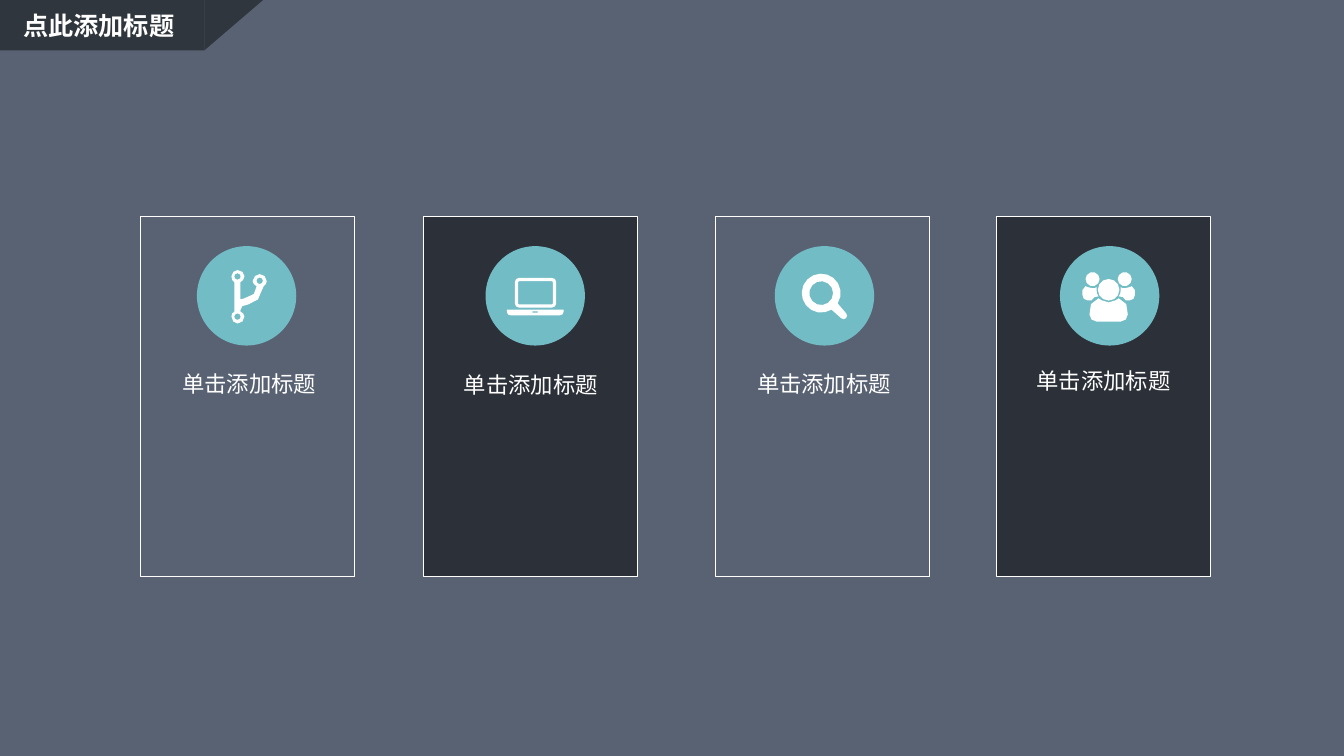
import math
from dataclasses import dataclass

import pptx
import pptx.dml.color
import pptx.enum.shapes
import pptx.enum.text
import pptx.oxml.ns
import pptx.util
from lxml import etree

Pt = pptx.util.Pt
RGB = pptx.dml.color.RGBColor.from_string
SHAPE = pptx.enum.shapes.MSO_SHAPE
ALIGN = pptx.enum.text.PP_ALIGN
qn = pptx.oxml.ns.qn


@dataclass(frozen=True)
class Theme:
    background: RGB = RGB("596273")
    banner: RGB = RGB("30363D")
    shade: RGB = RGB("000000")
    shade_opacity: int = 50
    accent: RGB = RGB("72BCC5")
    light: RGB = RGB("FFFFFF")
    font: str = "Noto Sans CJK SC"
    title_size: int = 18
    label_size: int = 16
    border: float = 0.75


THEME = Theme()


def add_filled(shapes, kind, box, color):
    shape = shapes.add_shape(kind, *map(Pt, box))
    shape.shadow.inherit = False
    shape.line.fill.background()
    shape.fill.solid()
    shape.fill.fore_color.rgb = color
    return shape


def add_text(shapes, box, words, size, align, bold=False):
    frame = shapes.add_textbox(*map(Pt, box)).text_frame
    frame.word_wrap = True
    frame.auto_size = pptx.enum.text.MSO_AUTO_SIZE.SHAPE_TO_FIT_TEXT
    paragraph = frame.paragraphs[0]
    paragraph.alignment = align
    run = paragraph.add_run()
    run.text = words
    run.font.size, run.font.bold, run.font.name = Pt(size), bold, THEME.font
    run.font.color.rgb = THEME.light
    etree.SubElement(run.font._element, qn("a:ea"), typeface=THEME.font)


def arc(cx, cy, r, start=0, end=360):
    """Points on a circle, clockwise from the right in degrees; larger circles get more."""
    span = end - start
    steps = round(span / 360 * (6 + 0.8 * r))
    count = steps if span == 360 else steps + 1
    angles = [math.radians(start + span * i / steps) for i in range(count)]
    return [(cx + r * math.cos(a), cy + r * math.sin(a)) for a in angles]


def rounded(left, top, right, bottom, r):
    corners = [(right - r, bottom - r), (left + r, bottom - r),
               (left + r, top + r), (right - r, top + r)]
    return [p for i, (x, y) in enumerate(corners)
            for p in arc(x, y, r, 90 * i, 90 * i + 90)]


def curve(start, *segments, steps=2):
    """Points along lines (x, y) and cubic Béziers (x1, y1, x2, y2, x, y)."""
    points = [start]
    for segment in segments:
        if len(segment) == 2:
            points.append(segment)
            continue
        x0, y0 = points[-1]
        x1, y1, x2, y2, x3, y3 = segment
        for i in range(1, steps + 1):
            t = i / steps
            a, b, c, d = (1 - t) ** 3, 3 * t * (1 - t) ** 2, 3 * t * t * (1 - t), t ** 3
            points.append((a * x0 + b * x1 + c * x2 + d * x3,
                           a * y0 + b * y1 + c * y2 + d * y3))
    return points


def mirror(points):
    return [(-x, y) for x, y in reversed(points)]


def shift(contours, dx):
    return [[(x + dx, y) for x, y in contour] for contour in contours]


def branch_icon():
    outline = curve(
        (12.6, -6.8), (11.9, 2.5, 6.1, 4.7, 1.8, 6.1), (-2.5, 6.8, -4, 7.6, -4, 10.4),
        (-4, 11.2), (-2.5, 11.9, -1.1, 13.3, -1.1, 14.8),
        (-1.1, 17.6, -3.2, 19.8, -6.1, 19.8), (-8.3, 19.8, -10.4, 17.6, -10.4, 14.8),
        (-10.4, 13.3, -9.7, 11.9, -8.3, 11.2), (-8.3, -9.7),
        (-9.7, -10.4, -10.4, -11.9, -10.4, -14), (-10.4, -16.2, -8.3, -18.4, -6.1, -18.4),
        (-3.2, -18.4, -1.1, -16.2, -1.1, -14), (-1.1, -11.9, -2.5, -10.4, -4, -9.7),
        (-4, 2.5), (-2.5, 2.5, -1.1, 1.8, 0.4, 1.1), (4.7, -0.4, 7.6, -1.1, 7.6, -6.8),
        (6.1, -7.6, 4.7, -9, 4.7, -10.4), (4.7, -13.3, 7.6, -15.5, 9.7, -15.5),
        (12.6, -15.5, 14.8, -13.3, 14.8, -10.4), (14.8, -9, 14, -7.6, 12.6, -6.8))
    holes = [arc(x, y, 2.3) for x, y in [(-6.1, -13.8), (-6.1, 14.9), (9.8, -10.7)]]
    return shift([outline, *holes], -0.4)


def laptop_icon():
    base = curve((-20.3, 9.8), (20.3, 9.8), (20.3, 11.6), (20.3, 13, 19, 14, 17.3, 14),
                 (-17.3, 14), (-19, 14, -20.3, 13, -20.3, 11.6))
    slot = [(-1.9, 11.2), (1.9, 11.2), (1.9, 12), (-1.9, 12)]
    return [base, rounded(-14.5, -12.8, 15, 8.4, 2.9),
            rounded(-12.2, -10.4, 12.6, 6.2, 0.8), slot]


def search_icon():
    ring = (-2.3, -1.9)
    return [arc(*ring, 13.9, 58, 392) + arc(13.7, 14.2, 2.5, -45, 135), arc(*ring, 8.5)]


def people_icon():
    shoulder = curve(
        (-12.2, 3.2), (-15.1, 3.2), (-17.3, 3.2, -18.7, 1.8, -18.7, -0.4),
        (-18.7, -1.8, -19.4, -6.8, -16.6, -6.8), (-15.8, -6.8, -13.7, -5.4, -11.5, -5.4),
        (-10.8, -5.4, -9.4, -5.4, -8.6, -6.1), (-8.6, -4.7),
        (-8.6, -2.5, -8.6, -1.1, -7.2, 0.4), (-9.4, 0.4, -11.5, 1.1, -12.2, 3.2))
    half_body = curve((-8.6, 18.4), (-11.5, 18.4, -13.7, 16.2, -13.7, 13.3),
                      (-13.7, 9, -13, 1.8, -7.2, 1.8), (-6.5, 1.8, -4.3, 4.7, 0, 4.7))
    side_head = arc(-11.5, -11.9, 5)
    return shift([shoulder, mirror(shoulder), side_head, mirror(side_head),
                  half_body + mirror(half_body)[1:], arc(0, -4.3, 7.7)], -0.7)


def add_icon(shapes, center, contours):
    """Draw the contours, in points around center, as one outline with holes."""
    unit = 100
    scaled = [[(x * unit, y * unit) for x, y in contour] for contour in contours]
    builder = shapes.build_freeform(*scaled[0][0], scale=Pt(1) / unit)
    for i, (first, *rest) in enumerate(scaled):
        if i:
            builder.move_to(*first)
        builder.add_line_segments(rest, close=True)
    icon = builder.convert_to_shape(*map(Pt, center))
    icon.shadow.inherit = False
    icon.line.fill.background()
    icon.fill.solid()
    icon.fill.fore_color.rgb = THEME.light


def add_banner(slide, box, words):
    left, top, width, height = box
    slant = 42
    body = width - slant
    group = slide.shapes.add_group_shape()
    add_filled(group.shapes, SHAPE.RECTANGLE, (left, top, body, height), THEME.banner)
    tail = add_filled(group.shapes, SHAPE.ISOSCELES_TRIANGLE,
                      (left + body, top, slant, height), THEME.banner)
    tail.adjustments[0] = 1
    tail.rotation = 180
    add_text(slide.shapes, (left + 9.5, top + 3.6, 126.7, 29), words,
             THEME.title_size, ALIGN.LEFT, bold=True)


def add_card(slide, box, words, contours, shaded, emblem_x, label_at):
    """Place one card; emblem_x and label_at are offsets from its corner."""
    left, top, width, height = box
    panel = add_filled(slide.shapes, SHAPE.RECTANGLE, box, THEME.shade)
    panel.line.color.rgb = THEME.light
    panel.line.width = Pt(THEME.border)
    if shaded:
        color = panel.fill._xPr.find(qn("a:solidFill"))[0]
        etree.SubElement(color, qn("a:alpha"), val=str(THEME.shade_opacity * 1000))
    else:
        panel.fill.background()
    diameter = 71
    emblem = (left + emblem_x, top + 21)
    add_filled(slide.shapes, SHAPE.OVAL, (*emblem, diameter, diameter), THEME.accent)
    add_icon(slide.shapes, [edge + diameter / 2 for edge in emblem], contours)
    label_x, label_y = label_at
    add_text(slide.shapes, (left + label_x, top + label_y, 112.3, 26.6), words,
             THEME.label_size, ALIGN.CENTER)


def main():
    deck = pptx.Presentation()
    deck.slide_width, deck.slide_height = Pt(960.5), Pt(540)
    slide = deck.slides.add_slide(deck.slide_layouts[6])
    slide.background.fill.solid()
    slide.background.fill.fore_color.rgb = THEME.background
    add_banner(slide, (0, 0, 188, 36), "点此添加标题")
    cards = [
        (100.1, branch_icon(), False, 40.6, (21.9, 105.8)),
        (302.4, laptop_icon(), True, 44.6, (20.9, 106.6)),
        (511.2, search_icon(), False, 42.5, (21.6, 105.8)),
        (712.1, people_icon(), True, 45.4, (20.5, 103.7)),
    ]
    for left, *details in cards:
        add_card(slide, (left, 154.8, 153.2, 257), "单击添加标题", *details)
    deck.save("out.pptx")


if __name__ == "__main__":
    main()
